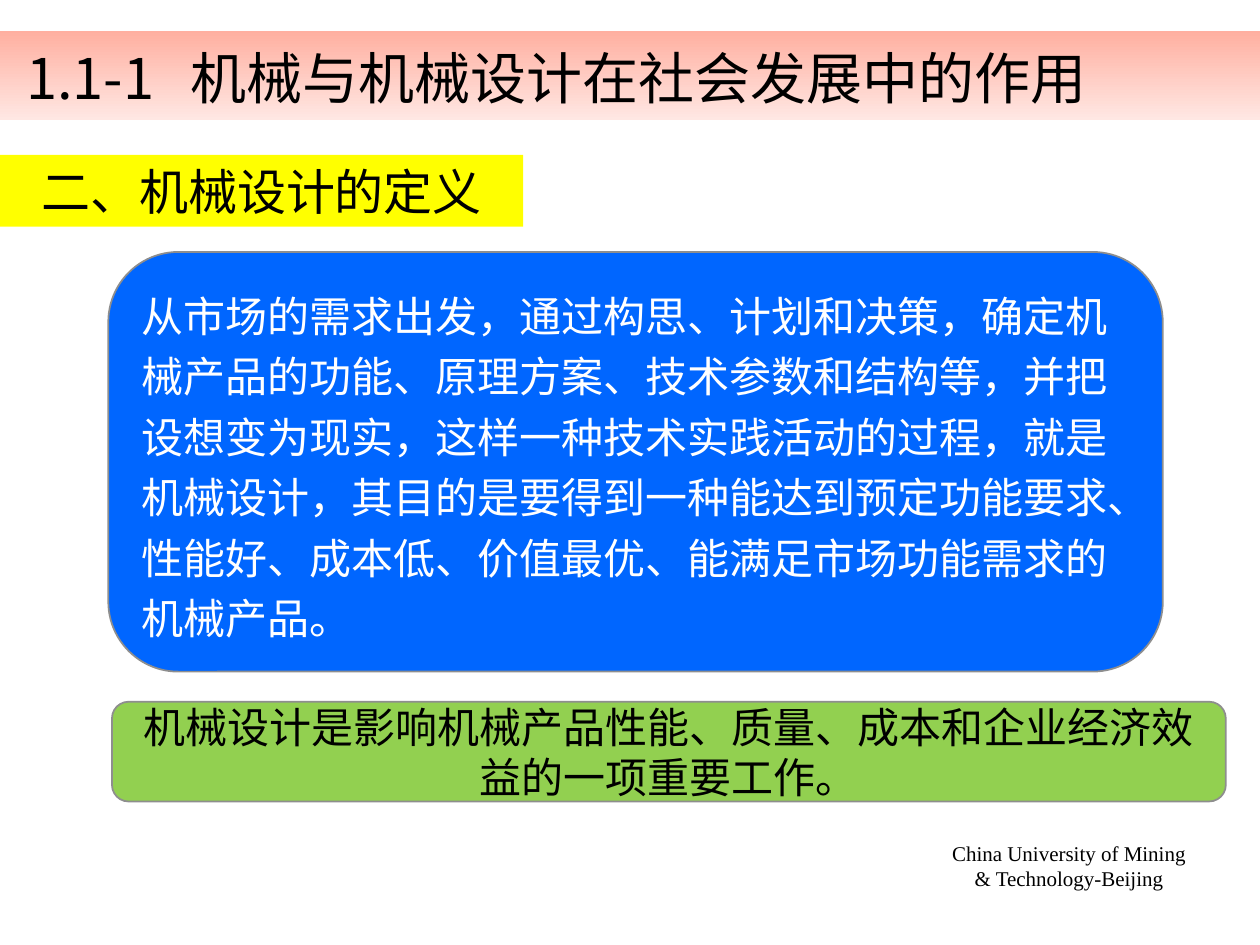
from dataclasses import dataclass
from typing import Any, Optional

from lxml import etree
from pptx import Presentation
from pptx.dml import color
from pptx.enum import shapes, text
from pptx.oxml import ns
from pptx.util import Pt

HUES = {
    "black": "000000", "white": "FFFFFF", "blue": "0066FF", "yellow": "FFFF00",
    "green": "92D050", "gray": "8E8E8E", "rose": "FFAFA0", "blush": "FFE7E3",
}
SANS, SERIF = "Noto Sans CJK SC", "Times New Roman"
RECT = shapes.MSO_SHAPE.RECTANGLE
ROUND = shapes.MSO_SHAPE.ROUNDED_RECTANGLE
LEFT, MID = text.PP_ALIGN.LEFT, text.PP_ALIGN.CENTER


@dataclass
class Panel:
    """A filled shape with one paragraph; lengths are in points."""
    box: tuple[float, float, float, float]
    words: str
    size: float
    fill: Optional[str] = None
    ink: str = "black"
    form: Any = RECT
    edge: Optional[str] = None
    align: Any = MID
    pitch: float = 1.0
    inset: tuple[float, float] = (7.2, 3.6)
    tab: Optional[float] = None
    font: str = SANS


PANELS = [
    Panel((0, 17.5, 720, 51), "1.1-1\t机械与机械设计在社会发展中的作用", 32,
          align=LEFT, inset=(15, 7.5), tab=94),
    Panel((61.9, 144, 602.6, 239.8),
          "从市场的需求出发，通过构思、计划和决策，确定机械产品的功能、原理方案、"
          "技术参数和结构等，并把设想变为现实，这样一种技术实践活动的过程，就是机械设计，"
          "其目的是要得到一种能达到预定功能要求、性能好、成本低、价值最优、"
          "能满足市场功能需求的机械产品。",
          24, "blue", "white", ROUND, "gray", LEFT, 1.2),
    Panel((0, 88.5, 299, 41), "二、机械设计的定义", 28, "yellow"),
    Panel((64, 401, 636.5, 57),
          "机械设计是影响机械产品性能、质量、成本和企业经济效益的一项重要工作。",
          24, "green", form=ROUND, edge="gray"),
]
FOOT = Panel((536.4, 476.6, 149, 23.8), "China University of Mining & Technology-Beijing",
             12, font=SERIF)


def rgb(name: str) -> color.RGBColor:
    """Look up a named colour."""
    return color.RGBColor.from_string(HUES[name])


def write(shape: Any, panel: Panel) -> None:
    """Set the text of a panel in its shape."""
    frame = shape.text_frame
    frame.word_wrap = True
    frame.margin_left, frame.margin_top = map(Pt, panel.inset)
    frame.margin_right, frame.margin_bottom = Pt(7.2), Pt(3.6)
    frame.vertical_anchor = (text.MSO_ANCHOR.MIDDLE if panel.form == ROUND
                             else text.MSO_ANCHOR.TOP)
    para = frame.paragraphs[0]
    para.add_run().text = panel.words
    para.alignment, para.line_spacing = panel.align, panel.pitch
    props = para._p.get_or_add_pPr()
    if panel.tab:
        tabs = etree.SubElement(props, ns.qn("a:tabLst"))
        etree.SubElement(tabs, ns.qn("a:tab"), pos=str(Pt(panel.tab)), algn="l")
    font = para.font
    font.name, font.size = panel.font, Pt(panel.size)
    font.color.rgb = rgb(panel.ink)
    etree.SubElement(props.find(ns.qn("a:defRPr")), ns.qn("a:ea"), typeface=panel.font)


def draw(slide: Any, panel: Panel) -> None:
    """Draw a panel, with the title gradient when it names no fill."""
    shape = slide.shapes.add_shape(panel.form, *map(Pt, panel.box))
    shape.shadow.inherit = False
    if panel.fill:
        shape.fill.solid()
        shape.fill.fore_color.rgb = rgb(panel.fill)
    else:
        shape.fill.gradient()
        shape.fill.gradient_angle = 270
        for stop, name, place in zip(shape.fill.gradient_stops, ("rose", "blush"), (0, 1)):
            stop.color.rgb, stop.position = rgb(name), place
    if panel.edge:
        shape.line.color.rgb, shape.line.width = rgb(panel.edge), Pt(1)
    else:
        shape.line.fill.background()
    write(shape, panel)


def main() -> None:
    """Build and save the slide."""
    deck = Presentation()
    deck.slide_width, deck.slide_height = Pt(720), Pt(540)
    slide = deck.slides.add_slide(deck.slide_layouts[6])
    for panel in PANELS:
        draw(slide, panel)
    write(slide.shapes.add_textbox(*map(Pt, FOOT.box)), FOOT)
    deck.save("out.pptx")


if __name__ == "__main__":
    main()
